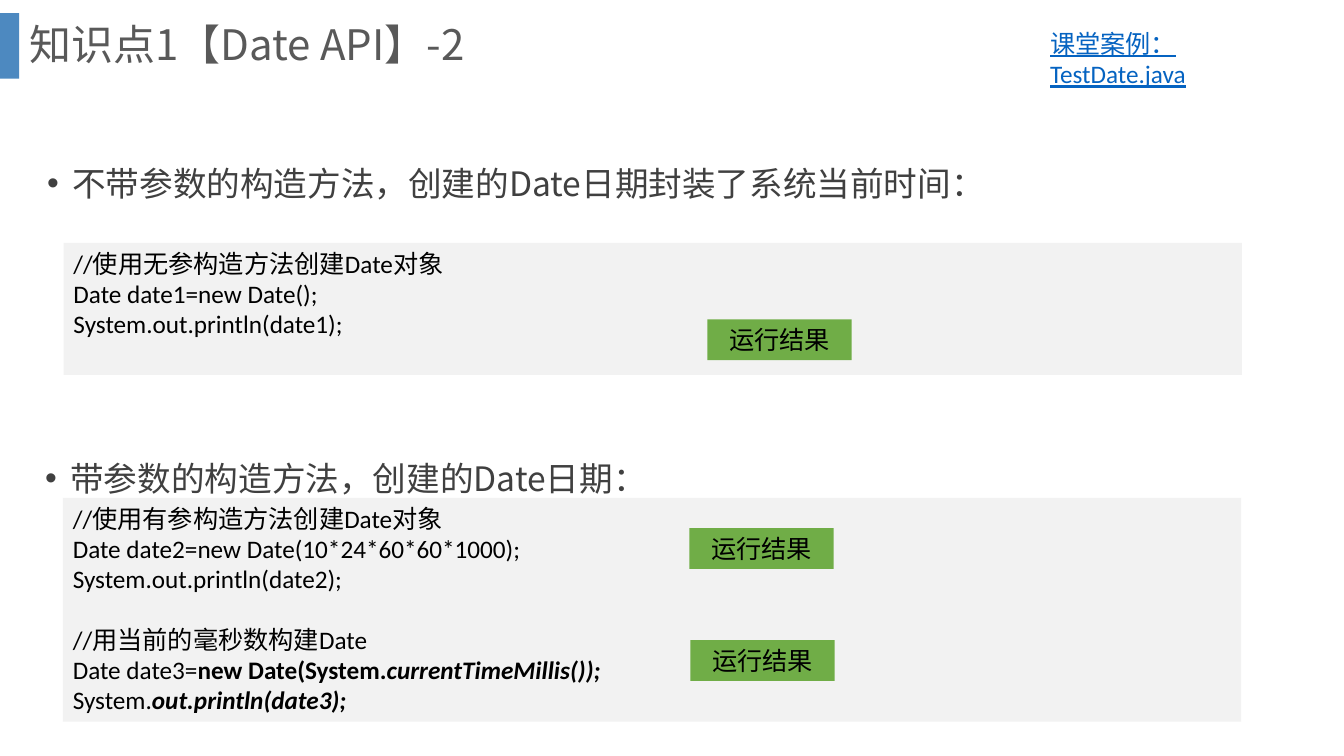
from pptx import Presentation
from pptx.dml.color import RGBColor
from pptx.enum.shapes import MSO_SHAPE
from pptx.enum.text import MSO_ANCHOR, PP_ALIGN
from pptx.oxml.ns import qn
from pptx.util import Pt
from lxml.etree import SubElement

CJK, LATIN = "Noto Sans CJK SC", "Calibri"


def rgb(value):
    return RGBColor.from_string(value)


def add_box(x, y, w, h, lines, size, font, color, fill=None):
    """Add a text box, or a filled rectangle; each line is a list of runs."""
    if fill:
        sp = s.shapes.add_shape(MSO_SHAPE.RECTANGLE, Pt(x), Pt(y), Pt(w), Pt(h))
        sp.shadow.inherit = False
        sp.fill.solid()
        sp.fill.fore_color.rgb = rgb(fill)
        sp.line.fill.background()
    else:
        sp = s.shapes.add_textbox(Pt(x), Pt(y), Pt(w), Pt(h))
    tf = sp.text_frame
    tf.word_wrap = True
    tf.vertical_anchor = MSO_ANCHOR.TOP
    for i, runs in enumerate(lines):
        p = tf.add_paragraph() if i else tf.paragraphs[0]
        p.alignment = PP_ALIGN.LEFT
        for text in runs:
            r = p.add_run()
            r.text = text
            r.font.size = Pt(size)
            r.font.name = font
            r.font.color.rgb = rgb(color)
            SubElement(r.font._element, qn("a:ea"), typeface=font)
    return sp


prs = Presentation()
prs.slide_width, prs.slide_height = Pt(960), Pt(540)
s = prs.slides.add_slide(prs.slide_layouts[6])

# Title with its accent bar
bar = add_box(0, 9.4, 13.7, 46.8, [], 18, LATIN, "000000", "2E75B6")
color = bar.fill._xPr.find(qn("a:solidFill"))[0]
SubElement(color, qn("a:alpha"), val="85000")
title = add_box(13.7, 0, 911.5, 67, [["知识点1【Date API】-2"]], 30, CJK, "595959")
title.text_frame.vertical_anchor = MSO_ANCHOR.MIDDLE
title.text_frame.paragraphs[0].line_spacing = 0.9

# Bullets
for x, y, h, text in [
    (26.6, 98.6, 206, "不带参数的构造方法，创建的Date日期封装了系统当前时间："),
    (25.2, 308.9, 46.8, "带参数的构造方法，创建的Date日期："),
]:
    sp = add_box(x, y, 867.6, h, [[text]], 24, CJK, "404040")
    p = sp.text_frame.paragraphs[0]
    p.line_spacing = 1.5
    pPr = p._p.get_or_add_pPr()
    pPr.set("marL", str(Pt(18)))
    pPr.set("indent", str(-Pt(18)))
    SubElement(pPr, qn("a:buFont"), typeface="Arial")
    SubElement(pPr, qn("a:buChar"), char="•")

# Code panels
add_box(45.4, 173.5, 841.7, 94.3, [
    ["//使用无参构造方法创建Date对象"],
    ["Date date1=new Date();"],
    ["System.out.println(date1);"],
], 18, LATIN, "000000", "F2F2F2")
code = add_box(44.9, 355.7, 841.7, 159.8, [
    ["//使用有参构造方法创建Date对象"],
    ["Date date2=new Date(10*24*60*60*1000);"],
    ["System.out.println(date2);"],
    ["//用当前的毫秒数构建Date"],
    ["Date date3=", "new Date(System.", "currentTimeMillis());"],
    ["System.", "out.println(date3);"],
], 18, LATIN, "000000", "F2F2F2")
now, call, output = code.text_frame.paragraphs[3:]
now.space_before = Pt(21.6)
for r in call.runs[1:] + output.runs[1:]:
    r.font.bold = True
for p in (call, output):
    p.runs[-1].font.italic = True

# Result buttons
for x, y in [(505.4, 228.2), (492.5, 377.3), (493.2, 457.2)]:
    sp = add_box(x, y, 103, 29.1, [["运行结果"]], 18, LATIN, "000000", "70AD47")
    sp.text_frame.paragraphs[0].alignment = PP_ALIGN.CENTER

# Class example reference
sp = add_box(743, 16.6, 199.4, 51, [["课堂案例： TestDate.java"]], 18, LATIN, "0563C1")
sp.text_frame.paragraphs[0].runs[0].font.underline = True

prs.save("out.pptx")
